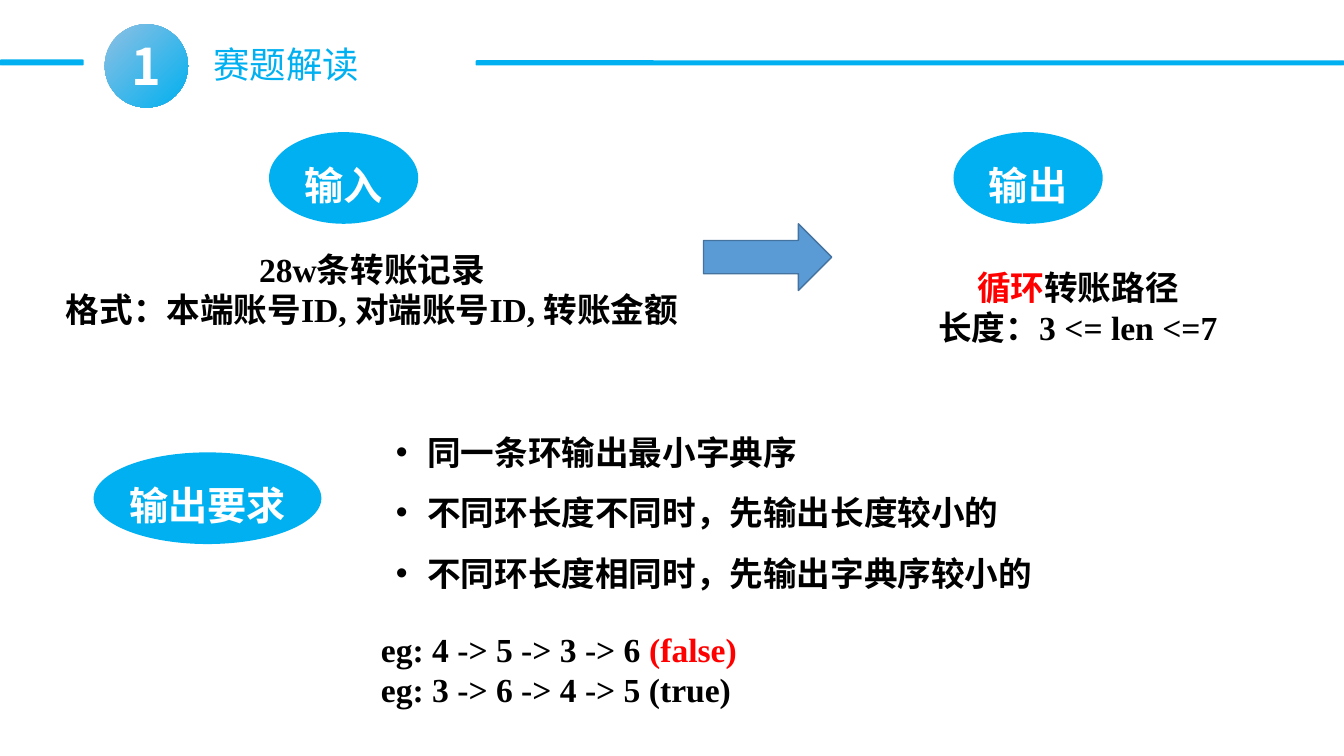
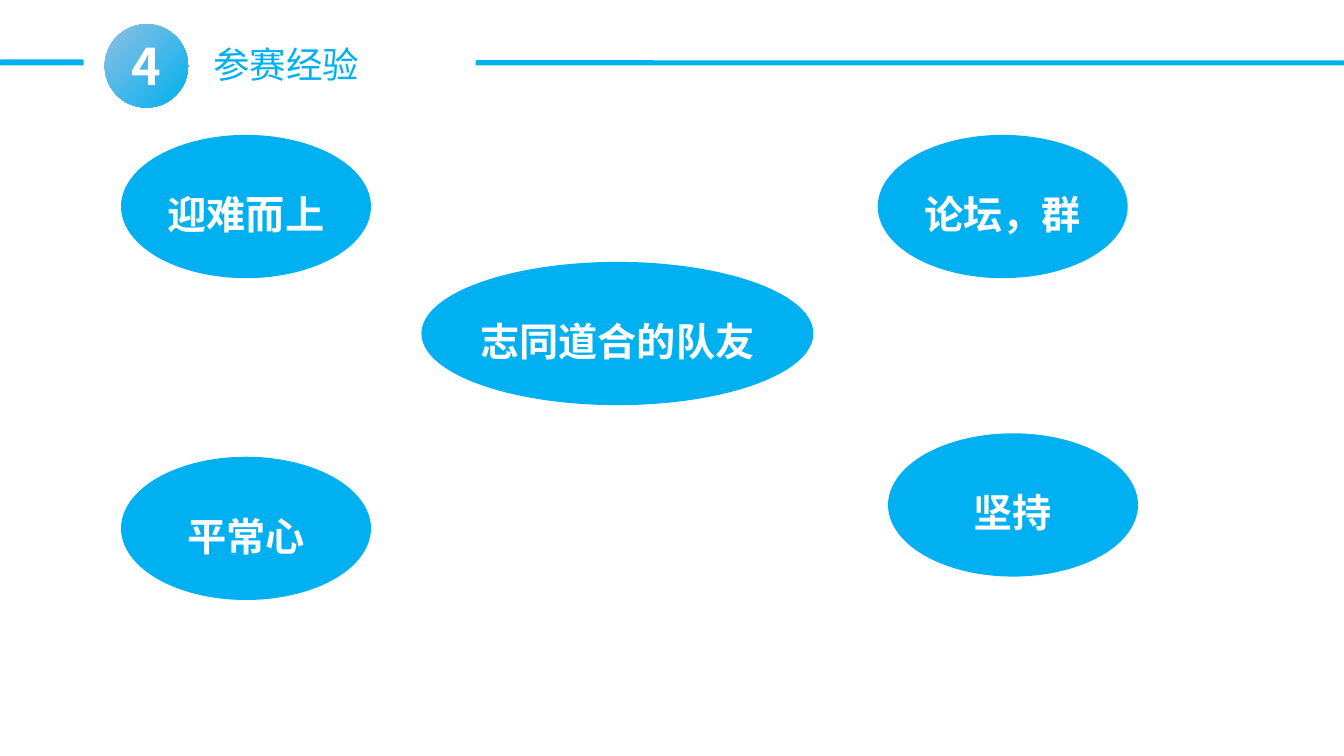
from lxml.etree import SubElement
from pptx import Presentation
from pptx.dml.color import RGBColor
from pptx.enum.shapes import MSO_SHAPE
from pptx.enum.text import MSO_ANCHOR, PP_ALIGN
from pptx.oxml.ns import qn
from pptx.util import Cm, Pt

COLORS = {
    "accent": "00B0F0",
    "badge_light": "8FC0E3",
    "arrow": "5B9BD5",
    "arrow_line": "43739E",
    "text": "000000",
    "highlight": "FF0000",
    "white": "FFFFFF",
}
SANS = "Noto Sans CJK SC"
SERIF = "Times New Roman"
CONDENSED = "Roboto Condensed"


def color(name):
    return RGBColor.from_string(COLORS[name])


class Deck:
    def __init__(self):
        self.presentation = Presentation()
        self.presentation.slide_width = Cm(33.87)
        self.presentation.slide_height = Cm(19.05)
        self.slide = None

    def add_slide(self, number, title):
        layout = self.presentation.slide_layouts[6]
        self.slide = self.presentation.slides.add_slide(layout)
        self.text(5.13, 0.94, 4.22, 1.37, [title], SANS, 26, "accent", bold=False, wrap=False)
        for left, top, width, height in ((11.99, 1.52, 21.88, 0.13), (0, 1.5, 2.11, 0.15)):
            self.shape(MSO_SHAPE.ROUNDED_RECTANGLE, left, top, width, height)
        self.badge(number)

    def style(self, paragraph, font_name, size, color_name, bold=True):
        font = paragraph.font
        font.name = font_name
        font.size = Pt(size)
        font.bold = bold
        font.color.rgb = color(color_name)
        properties = paragraph._p.get_or_add_pPr().find(qn("a:defRPr"))
        east_asian = SubElement(properties, qn("a:ea"))
        east_asian.set("typeface", SANS)

    def shape(self, kind, left, top, width, height, fill="accent", line=None):
        shape = self.slide.shapes.add_shape(kind, Cm(left), Cm(top), Cm(width), Cm(height))
        shape.shadow.inherit = False
        shape.fill.solid()
        shape.fill.fore_color.rgb = color(fill)
        if line:
            shape.line.color.rgb = color(line)
            shape.line.width = Pt(1)
        else:
            shape.line.fill.background()
        return shape

    def label(self, shape, text, font_name, size, line_spacing):
        frame = shape.text_frame
        frame.margin_left = frame.margin_right = frame.margin_top = frame.margin_bottom = 0
        frame.vertical_anchor = MSO_ANCHOR.MIDDLE
        frame.word_wrap = True
        paragraph = frame.paragraphs[0]
        paragraph.text = text
        paragraph.alignment = PP_ALIGN.CENTER
        paragraph.line_spacing = line_spacing
        self.style(paragraph, font_name, size, "white")

    def badge(self, number):
        shape = self.shape(MSO_SHAPE.OVAL, 2.64, 0.61, 2.1, 2.1)
        shape.fill.gradient()
        shape.fill.gradient_angle = 315
        for stop, name in zip(shape.fill.gradient_stops, ("badge_light", "accent")):
            stop.color.rgb = color(name)
        self.label(shape, number, SANS, 36, 1.0)

    def ellipse(self, text, left, top, width, height):
        shape = self.shape(MSO_SHAPE.OVAL, left, top, width, height)
        self.label(shape, text, CONDENSED, 28, 1.3)

    def arrow(self, left, top, width, height):
        self.shape(MSO_SHAPE.RIGHT_ARROW, left, top, width, height, "arrow", "arrow_line")

    def text(self, left, top, width, height, lines, font_name=SERIF, size=24,
             color_name="text", bold=True, wrap=True, alignment=PP_ALIGN.LEFT, bullets=False):
        box = self.slide.shapes.add_textbox(Cm(left), Cm(top), Cm(width), Cm(height))
        frame = box.text_frame
        frame.word_wrap = wrap
        for index, line in enumerate(lines):
            paragraph = frame.add_paragraph() if index else frame.paragraphs[0]
            paragraph.alignment = alignment
            if bullets:
                self.bullet(paragraph)
            self.style(paragraph, font_name, size, color_name, bold)
            runs = [(line, None)] if isinstance(line, str) else line
            for words, run_color in runs:
                run = paragraph.add_run()
                run.text = words
                if run_color:
                    run.font.color.rgb = color(run_color)

    def bullet(self, paragraph):
        paragraph.line_spacing = 1.5
        properties = paragraph._p.get_or_add_pPr()
        properties.set("marL", str(Cm(0.79)))
        properties.set("indent", str(-Cm(0.79)))
        SubElement(properties, qn("a:buFont")).set("typeface", "Arial")
        SubElement(properties, qn("a:buChar")).set("char", "•")


def build_task(deck):
    deck.add_slide("1", "赛题解读")
    deck.text(0.46, 6.15, 17.83, 2.31,
              ["28w条转账记录", "格式：本端账号ID, 对端账号ID, 转账金额"],
              alignment=PP_ALIGN.CENTER)
    for text, left in (("输入", 6.78), ("输出", 24.03)):
        deck.ellipse(text, left, 3.33, 3.76, 2.31)
    deck.text(22.4, 6.6, 9.53, 2.31,
              [[("循环", "highlight"), ("转账路径", None)], "长度：3 <= len <=7"],
              alignment=PP_ALIGN.CENTER)
    deck.arrow(17.73, 5.64, 3.23, 1.68)
    deck.ellipse("输出要求", 2.36, 11.4, 5.74, 2.31)
    deck.text(9.73, 10.24, 17.42, 4.62,
              ["同一条环输出最小字典序",
               "不同环长度不同时，先输出长度较小的",
               "不同环长度相同时，先输出字典序较小的"],
              font_name=SANS, bullets=True)
    deck.text(9.35, 15.72, 15.37, 2.31,
              [[("eg: 4 -> 5 -> 3 -> 6 ", None), ("(false)", "highlight")],
               "eg: 3 -> 6 -> 4 -> 5 (true)"])


def build_experience(deck):
    deck.add_slide("4", "参赛经验")
    for text, left, top, width in (
        ("迎难而上", 3.05, 3.4, 6.3),
        ("平常心", 3.05, 11.51, 6.3),
        ("坚持", 22.38, 10.92, 6.3),
        ("志同道合的队友", 10.62, 6.6, 9.88),
        ("论坛，群", 22.12, 3.4, 6.3),
    ):
        deck.ellipse(text, left, top, width, 3.61)


def main():
    deck = Deck()
    build_task(deck)
    build_experience(deck)
    deck.presentation.save("out.pptx")


if __name__ == "__main__":
    main()
